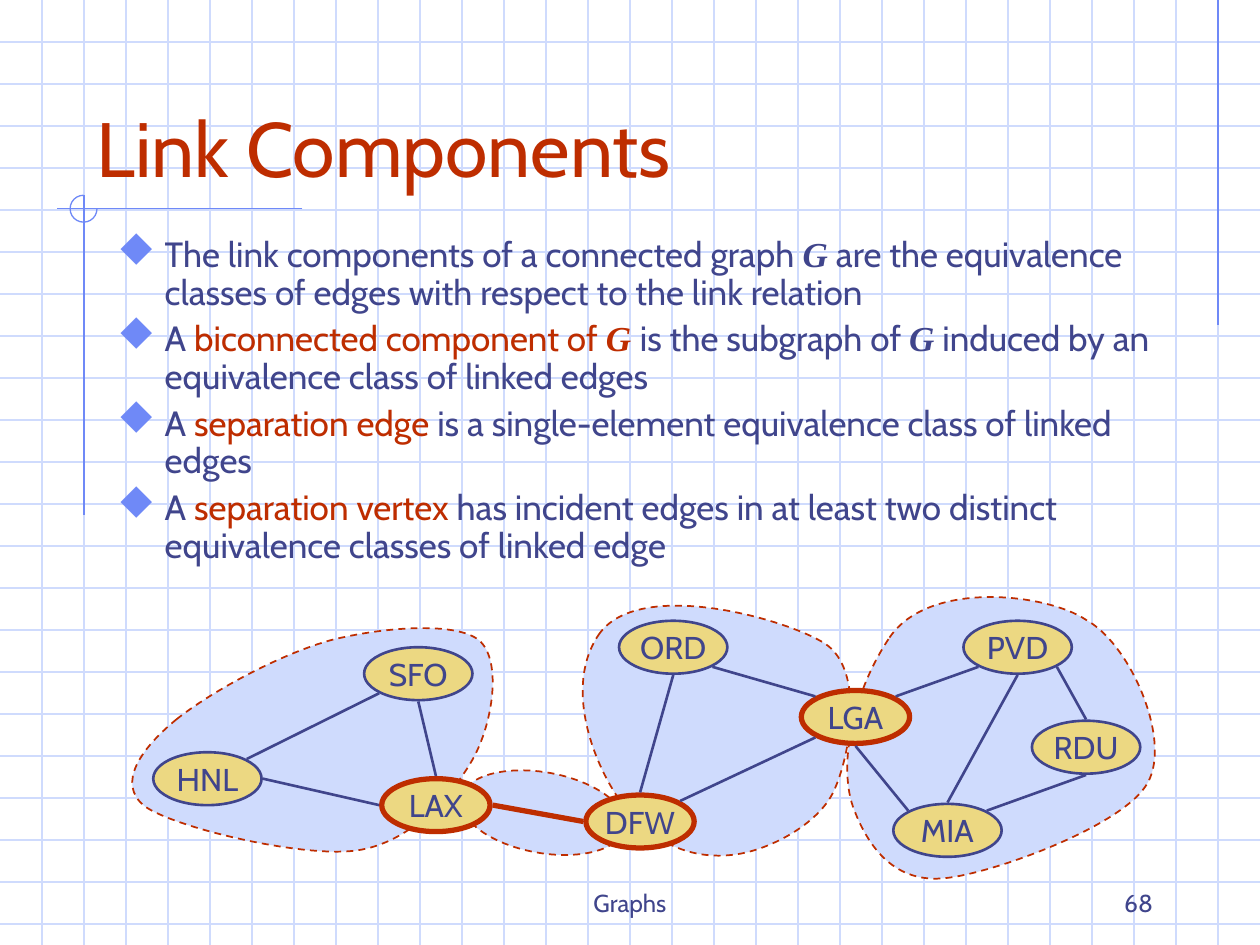
from dataclasses import dataclass
from math import cos, radians, sin

from lxml import etree
from pptx import Presentation
from pptx.dml.color import RGBColor
from pptx.enum.dml import MSO_LINE
from pptx.enum.shapes import MSO_CONNECTOR, MSO_SHAPE
from pptx.enum.text import MSO_ANCHOR, MSO_AUTO_SIZE, PP_ALIGN
from pptx.oxml.ns import qn
from pptx.util import Inches, Pt


@dataclass(frozen=True)
class Theme:
    ink: str = "40458C"
    accent: str = "BE2D00"
    rule: str = "6F89F7"
    pale: str = "CFDBFD"
    node: str = "ECD882"
    font: str = "Cabin"
    math_font: str = "Times New Roman"
    title_size: int = 44
    body_size: int = 20
    node_size: int = 18
    footer_size: int = 14
    hairline: float = 0.75
    outline: float = 1
    edge: float = 1.5
    strong: float = 3


THEME = Theme()
COLUMNS, ROWS = 30, 22.5  # squares of the graph paper, three to the inch

# Each run: text, is it a key term, is it a mathematical symbol
POINTS = [
    [("The link components of a connected graph ", False, False), ("G", False, True),
     (" are the equivalence classes of edges with respect to the link relation", False, False)],
    [("A ", False, False), ("biconnected component of ", True, False), ("G ", True, True),
     ("is the subgraph of ", False, False), ("G", False, True),
     (" induced by an equivalence class of linked edges", False, False)],
    [("A ", False, False), ("separation edge", True, False),
     (" is a single-element equivalence class of linked edges", False, False)],
    [("A ", False, False), ("separation vertex", True, False),
     (" has incident edges in at least two distinct equivalence classes of linked edge",
      False, False)],
]

# Centres of the airports, in squares from the corner of the graph's box
AIRPORTS = {
    "ORD": (13.53, 1.91), "PVD": (21.73, 1.91), "MIA": (20.06, 6.27),
    "DFW": (12.74, 6.06), "SFO": (7.46, 2.54), "LAX": (7.88, 5.67),
    "LGA": (17.87, 3.57), "HNL": (2.44, 5.04), "RDU": (23.36, 4.29),
}
SEPARATION_VERTICES = {"DFW", "LAX", "LGA"}
SEPARATION_EDGE = ("LAX", "DFW")
NODE_W, NODE_H = 2.58, 1.26

# Each edge: airport and the angle where it leaves, clockwise from the right
ROUTES = [
    ("DFW", 270, "ORD", 90), ("DFW", 315, "LGA", 135), ("LGA", 315, "PVD", 135),
    ("HNL", 0, "LAX", 180), ("SFO", 90, "LAX", 270), ("LGA", 90, "MIA", 225),
    ("LGA", 225, "ORD", 45), ("LAX", 0, "DFW", 180), ("HNL", 315, "SFO", 135),
    ("MIA", 270, "PVD", 90), ("MIA", 315, "RDU", 90), ("RDU", 270, "PVD", 45),
]

# Closed Bézier outlines: a start, then two controls and an end for each curve
COMPONENTS = [
    [(18.68, 1.68), (19.61, 0.3), (22.43, 0.63), (23.36, 1.26),
     (24.41, 1.83), (25.4, 4.11), (24.83, 5.13), (24.29, 6.15), (21.17, 7.29), (20, 7.41),
     (18.83, 7.53), (18.2, 6.72), (17.84, 5.79), (17.45, 4.83), (17.75, 3.06), (18.68, 1.68)],
    [(11.75, 1.62), (12.68, 0.24), (16.22, 1.23), (17.15, 1.83),
     (18.08, 2.46), (17.75, 4.41), (17.39, 5.25), (17.06, 6.09), (15.86, 6.72), (15.05, 6.84),
     (14.27, 6.96), (13.37, 6.78), (12.59, 5.97), (11.81, 5.16), (10.82, 3), (11.75, 1.62)],
    [(1.7, 3.63), (2.57, 2.94), (4.19, 2.07), (5.39, 1.74),
     (6.59, 1.44), (8.33, 1.29), (8.9, 1.74), (9.47, 2.22), (9.23, 3.75), (8.75, 4.59),
     (8.27, 5.43), (7.28, 6.57), (5.99, 6.75), (4.7, 6.93), (1.67, 6.21), (0.95, 5.7),
     (0.26, 5.16), (0.86, 4.32), (1.7, 3.63)],
]


def squares(count):
    return Inches(count / 3)


def rgb(color):
    return RGBColor.from_string(color)


def add_line(shapes, start, end, color, width):
    line = shapes.add_connector(MSO_CONNECTOR.STRAIGHT, *map(squares, (*start, *end)))
    line.line.color.rgb = rgb(color)
    line.line.width = Pt(width)
    etree.SubElement(line.element.spPr, qn("a:effectLst"))


def paint(shape, fill, color, width):
    shape.shadow.inherit = False
    if fill:
        shape.fill.solid()
        shape.fill.fore_color.rgb = rgb(fill)
    else:
        shape.fill.background()
    shape.line.color.rgb = rgb(color)
    shape.line.width = Pt(width)


def style(run, size, color=THEME.ink, symbol=False):
    run.font.name = THEME.math_font if symbol else THEME.font
    run.font.size = Pt(size)
    run.font.bold = run.font.italic = symbol
    run.font.color.rgb = rgb(color)


def write(frame, text, size, color, align, anchor):
    frame.text = text
    frame.vertical_anchor = anchor
    frame.paragraphs[0].alignment = align
    style(frame.paragraphs[0].runs[0], size, color)


def draw_paper(slide):
    group = slide.shapes.add_group_shape()
    paper = group.shapes
    for row in range(1, int(ROWS) + 1):
        add_line(paper, (0, row), (COLUMNS, row), THEME.pale, THEME.hairline)
    for column in range(1, COLUMNS):
        add_line(paper, (column, 0), (column, ROWS), THEME.pale, THEME.hairline)
    # Margin rules and the open circle at their crossing
    for start, end in [((29, 0), (29, 7.75)), ((7.2, 4.97), (1.35, 4.97)),
                       ((2, 4.65), (2, 12.27))]:
        add_line(paper, start, end, THEME.rule, THEME.hairline)
    circle = paper.add_shape(MSO_SHAPE.ARC, *map(squares, (1.67, 4.65, 0.64, 0.64)))
    circle.adjustments[0], circle.adjustments[1] = 0, 162  # 0 to 270 degrees
    paint(circle, None, THEME.rule, THEME.hairline)
    # The paper belongs to the layout, behind everything on the slide
    slide.slide_layout.shapes.element.insert(2, group.element)


def place_title(slide, box, text):
    title = slide.shapes.title
    title.left, title.top, title.width, title.height = map(squares, box)
    title.text_frame.auto_size = MSO_AUTO_SIZE.NONE
    write(title.text_frame, text, THEME.title_size, THEME.accent,
          PP_ALIGN.LEFT, MSO_ANCHOR.BOTTOM)


def add_bullet(paragraph):
    props = paragraph._p.get_or_add_pPr()
    props.set("marL", str(Inches(3 / 8)))
    props.set("indent", str(-Inches(3 / 8)))
    color = etree.SubElement(props, qn("a:buClr"))
    etree.SubElement(color, qn("a:srgbClr"), val=THEME.rule)
    etree.SubElement(props, qn("a:buSzPct"), val="110000")
    # The letter u is the diamond of this symbol font
    etree.SubElement(props, qn("a:buFont"), typeface="Wingdings", charset="2")
    etree.SubElement(props, qn("a:buChar"), char="u")


def place_points(slide, box):
    frame = slide.shapes.add_textbox(*map(squares, box)).text_frame
    frame.word_wrap = True
    for index, point in enumerate(POINTS):
        paragraph = frame.paragraphs[0] if index == 0 else frame.add_paragraph()
        add_bullet(paragraph)
        paragraph.line_spacing = 0.9
        if index:
            paragraph.space_before = Pt(5)
        for text, key_term, symbol in point:
            run = paragraph.add_run()
            run.text = text
            style(run, THEME.body_size, THEME.accent if key_term else THEME.ink, symbol)


def add_curved_area(shapes, points):
    builder = shapes.build_freeform(*points[0])
    builder.add_line_segments(points[1:], close=True)
    area = builder.convert_to_shape()
    # Every three segments become the two controls and the end of one curve
    segments = list(area.element.iter(qn("a:lnTo")))
    for first in range(0, len(segments), 3):
        curve = etree.Element(qn("a:cubicBezTo"))
        segments[first].addprevious(curve)
        for segment in segments[first:first + 3]:
            curve.append(segment[0])
            segment.getparent().remove(segment)
    return area


def place_graph(slide, box):
    left, top = box[:2]
    shapes = slide.shapes

    # Component areas: the single-edge oval, then the larger outlines
    oval = shapes.add_shape(MSO_SHAPE.OVAL,
                            *map(squares, (left + 8.45, top + 4.89, 3.96, 1.92)))
    oval.rotation = 10.2
    areas = [oval]
    for outline in COMPONENTS:
        areas.append(add_curved_area(
            shapes, [(squares(left + x), squares(top + y)) for x, y in outline]))
    for area in areas:
        paint(area, THEME.pale, THEME.accent, THEME.outline)
        area.line.dash_style = MSO_LINE.DASH

    # Airports
    def border(code):
        return THEME.strong if code in SEPARATION_VERTICES else THEME.edge

    for code, (x, y) in AIRPORTS.items():
        airport = shapes.add_shape(MSO_SHAPE.OVAL, *map(squares, (
            left + x - NODE_W / 2, top + y - NODE_H / 2, NODE_W, NODE_H)))
        paint(airport, THEME.node,
              THEME.accent if code in SEPARATION_VERTICES else THEME.ink, border(code))
        airport.text_frame.word_wrap = False
        write(airport.text_frame, code, THEME.node_size, THEME.ink,
              PP_ALIGN.CENTER, MSO_ANCHOR.MIDDLE)

    # Routes, ending at the outer rim of each airport's border
    def rim(code, angle):
        x, y = AIRPORTS[code]
        half_border = border(code) / 2 / 24  # 24 points to a square
        return (left + x + (NODE_W / 2 + half_border) * cos(radians(angle)),
                top + y + (NODE_H / 2 + half_border) * sin(radians(angle)))

    for origin, leaving, target, arriving in ROUTES:
        cut = (origin, target) == SEPARATION_EDGE
        add_line(shapes, rim(origin, leaving), rim(target, arriving),
                 THEME.accent if cut else THEME.ink, THEME.strong if cut else THEME.edge)


def place_footer(slide, box, text, align):
    frame = slide.shapes.add_textbox(*map(squares, box)).text_frame
    frame.word_wrap = True
    write(frame, text, THEME.footer_size, THEME.ink, align, MSO_ANCHOR.BOTTOM)


def main():
    deck = Presentation()
    deck.slide_width, deck.slide_height = squares(COLUMNS), squares(ROWS)
    slide = deck.slides.add_slide(deck.slide_layouts[5])
    draw_paper(slide)
    place_title(slide, (2, 1, 25.5, 3.75), "Link Components")
    place_points(slide, (2.5, 5.5, 26.25, 8.25))
    place_graph(slide, (2.5, 13.5, 25.5, 7.5))
    place_footer(slide, (10.25, 20.5, 9.5, 1.5), "Graphs", PP_ALIGN.CENTER)
    place_footer(slide, (21.5, 20.5, 6.25, 1.5), "68", PP_ALIGN.RIGHT)
    deck.save("out.pptx")


if __name__ == "__main__":
    main()
